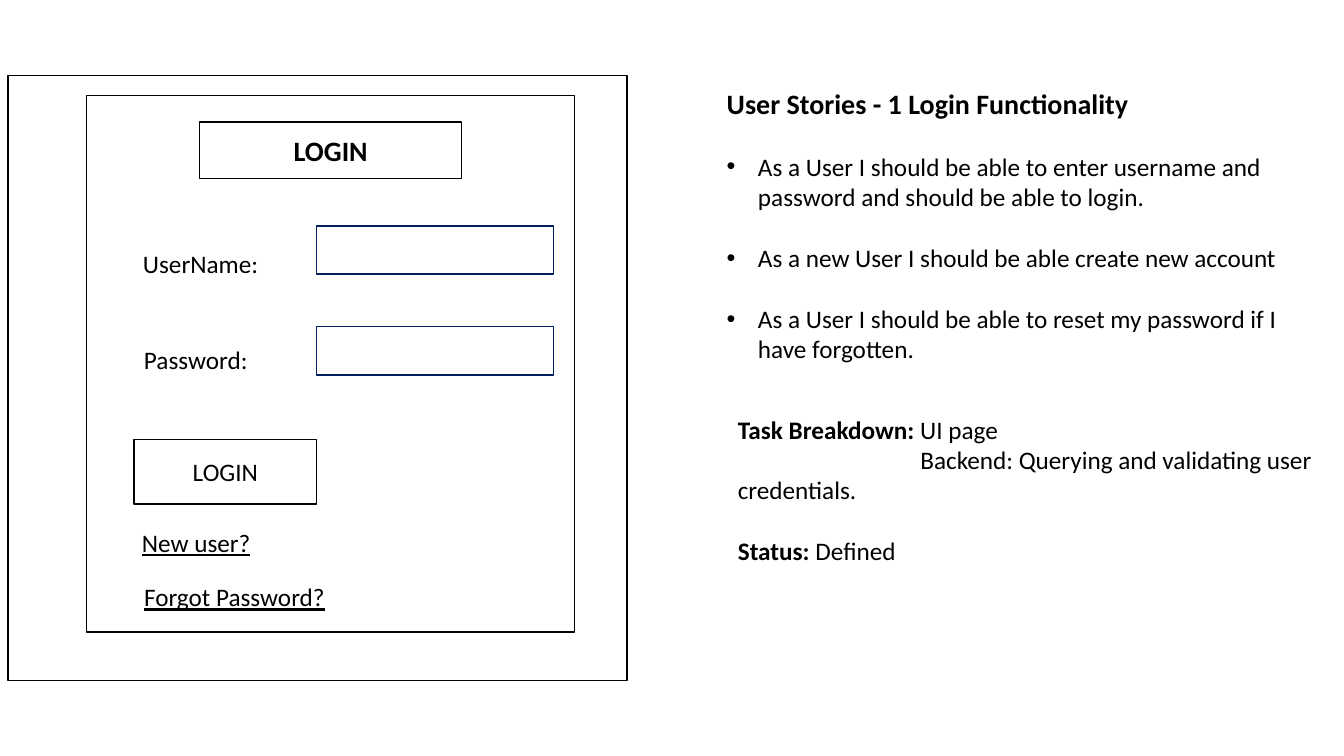
from dataclasses import dataclass
from lxml.etree import SubElement
from pptx import Presentation
from pptx.dml.color import RGBColor
from pptx.enum.shapes import MSO_SHAPE
from pptx.enum.text import MSO_ANCHOR, PP_ALIGN
from pptx.oxml.ns import qn
from pptx.util import Inches, Pt


@dataclass
class Theme:
    font: str = "Calibri"
    ink: RGBColor = RGBColor(0, 0, 0)
    navy: RGBColor = RGBColor(0, 0x20, 0x60)
    paper: RGBColor = RGBColor(255, 255, 255)
    head: int = 20
    body: int = 18
    gap: int = 22


theme = Theme()
deck = Presentation()
deck.slide_width, deck.slide_height = Inches(13.33), Inches(7.5)
slide = deck.slides.add_slide(deck.slide_layouts[6])


def style(para, size=theme.body, bold=None, under=None):
    font = para.font
    font.name, font.size, font.color.rgb = theme.font, Pt(size), theme.ink
    font.bold, font.underline = bold, under


def add_text(left, top, width, height):
    box = slide.shapes.add_textbox(*map(Inches, (left, top, width, height)))
    box.text_frame.word_wrap = True
    return box.text_frame


# Login mockup: frames, input fields, button and title
boxes = [
    (0.08, 0.75, 6.14, 6, theme.ink, "", theme.body, False),
    (0.86, 0.95, 4.84, 5.32, theme.ink, "", theme.body, False),
    (3.14, 2.24, 2.35, 0.48, theme.navy, "", theme.body, False),
    (3.14, 3.24, 2.35, 0.48, theme.navy, "", theme.body, False),
    (1.33, 4.36, 1.81, 0.64, theme.ink, "LOGIN", theme.body, False),
    (1.98, 1.21, 2.6, 0.56, theme.ink, "LOGIN", theme.head, True),
]
for left, top, width, height, edge, words, size, bold in boxes:
    box = slide.shapes.add_shape(
        MSO_SHAPE.RECTANGLE, *map(Inches, (left, top, width, height)))
    box.shadow.inherit = False
    box.fill.solid()
    box.fill.fore_color.rgb = theme.paper
    box.line.color.rgb = edge
    box.line.width = Pt(1)
    if words:
        box.text_frame.vertical_anchor = MSO_ANCHOR.MIDDLE
        para = box.text_frame.paragraphs[0]
        para.text, para.alignment = words, PP_ALIGN.CENTER
        style(para, size, bold)

# Field labels and underlined prompts
labels = [
    (1.32, 2.41, 1.84, "UserName:", False),
    (1.33, 3.37, 1.84, "Password:", False),
    (1.31, 5.18, 2.28, "New user?", True),
    (1.33, 5.72, 2.11, "Forgot Password?", True),
]
for left, top, width, words, under in labels:
    para = add_text(left, top, width, 0.4).paragraphs[0]
    para.text = words
    style(para, under=under)

# User stories: heading and bullets
frame = add_text(7.11, 0.81, 5.94, 2.86)
title = frame.paragraphs[0]
title.text = "User Stories - 1 Login Functionality"
style(title, theme.head, True)
stories = [
    "As a User I should be able to enter username and password and should be able to login.",
    "As a new User I should be able create new account",
    "As a User I should be able to reset my password if I have forgotten.",
]
for story in stories:
    para = frame.add_paragraph()
    para.text = story
    para.space_before = Pt(theme.gap)
    props = para._p.get_or_add_pPr()
    props.set("marL", str(Inches(0.31)))
    props.set("indent", str(-Inches(0.31)))
    SubElement(props, qn("a:buFont")).set("typeface", "Arial")
    SubElement(props, qn("a:buChar")).set("char", "•")
    style(para)

# Task breakdown and status: bold lead, text, first-line indent, space before
frame = add_text(7.22, 4.06, 6.67, 1.62)
tasks = [
    ("Task Breakdown: ", "UI page", 0, 0),
    ("", "Backend: Querying and validating user credentials.", 1.81, 0),
    ("Status: ", "Defined", 0, theme.gap),
]
for row, (lead, words, indent, gap) in enumerate(tasks):
    para = frame.add_paragraph() if row else frame.paragraphs[0]
    para.space_before = Pt(gap)
    para._p.get_or_add_pPr().set("indent", str(Inches(indent)))
    if lead:
        run = para.add_run()
        run.text, run.font.bold = lead, True
    para.add_run().text = words
    style(para)

deck.save("out.pptx")
